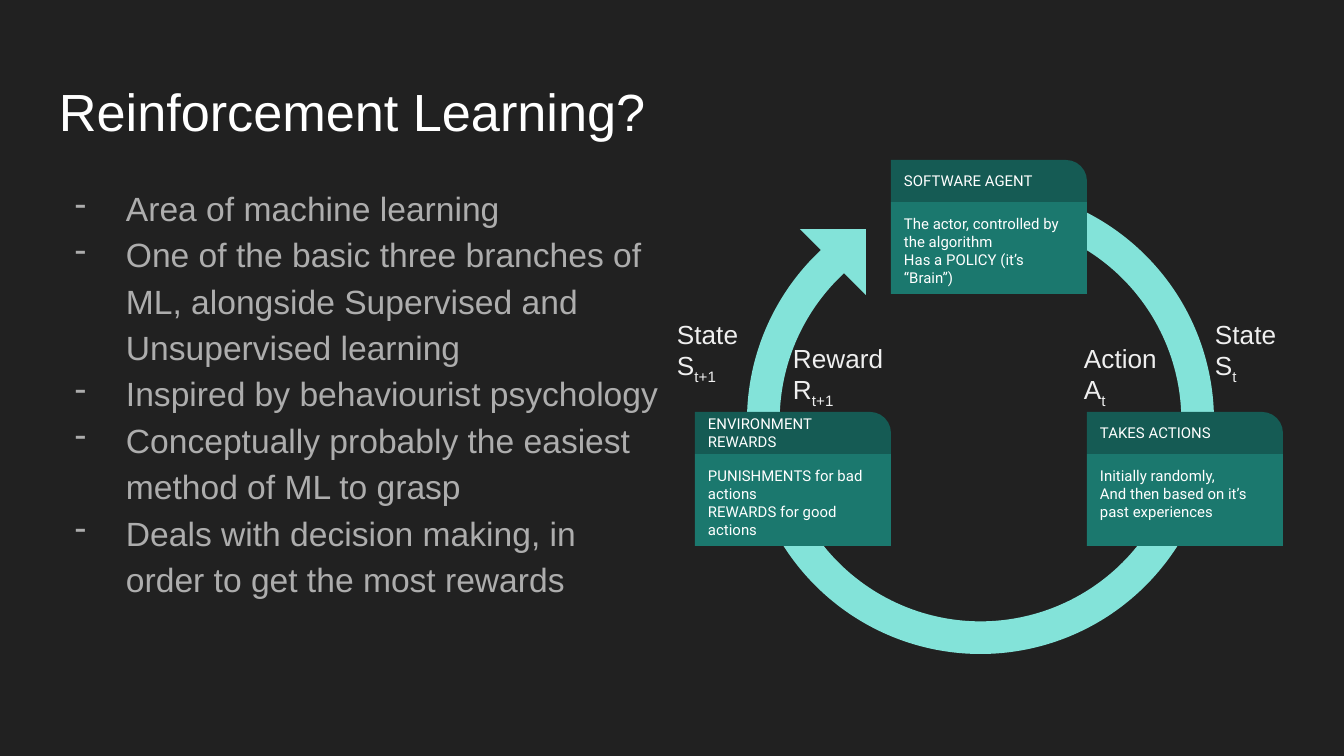
import pptx
import pptx.util
import pptx.dml.color
import pptx.enum.shapes
import pptx.enum.text
import pptx.oxml.ns
from lxml import etree

# Content: a paragraph is a list of (text, is subscript) runs
TITLE = "Reinforcement Learning?"
POINTS = [
    "Area of machine learning",
    "One of the basic three branches of ML, alongside Supervised and Unsupervised learning",
    "Inspired by behaviourist psychology",
    "Conceptually probably the easiest method of ML to grasp",
    "Deals with decision making, in order to get the most rewards",
]
# Column, top, heading, lines
CARDS = [
    (2, 412, "TAKES ACTIONS",
     ["Initially randomly,", "And then based on it’s past experiences"]),
    (1, 160, "SOFTWARE AGENT",
     ["The actor, controlled by the algorithm", "Has a POLICY (it’s “Brain”)"]),
    (0, 412, "ENVIRONMENT REWARDS",
     ["PUNISHMENTS for bad actions", "REWARDS for good actions"]),
]
# Left, top, width, paragraphs
LABELS = [
    (1071, 329, 125, [[("Action A", False), ("t", True)]]),
    (780, 329, 125, [[("Reward", False)], [("R", False), ("t+1", True)]]),
    (1202, 305, 106, [[("State", False)], [("S", False), ("t", True)]]),
    (664, 305, 125, [[("State", False)], [("S", False), ("t+1", True)]]),
]

# Theme
THEME = {
    "back": "212121", "ring": "83E3D9", "head": "155B54", "body": "1B786E",
    "title": ("Arial", 28, "FFFFFF"),
    "point": ("Arial", 18, "ADADAD"),
    "card": ("Roboto", 8, "FFFFFF"),
    "label": ("Arial", 14, "EFEFEF"),
}

# Layout in px
SCALE = 914400 / 134.4
WIDE, HIGH = 1344, 756
PAD = 13
CARD_X, CARD_W, HEAD_H, BODY_H = 695, 196, 42, 92
LABEL_H = 74
KIND = pptx.enum.shapes.MSO_SHAPE
ANCHOR = pptx.enum.text.MSO_ANCHOR


def px(n):
    return pptx.util.Emu(round(n * SCALE))


def rgb(code):
    return pptx.dml.color.RGBColor.from_string(code)


def write(shape, paras, style, anchor=ANCHOR.TOP):
    font, size, color = THEME[style]
    frame = shape.text_frame
    form = {"word_wrap": True, "vertical_anchor": anchor}
    for side in ("left", "right", "top", "bottom"):
        form["margin_" + side] = px(PAD)
    for key, val in form.items():
        setattr(frame, key, val)
    for i, runs in enumerate(paras):
        para = frame.paragraphs[0] if i == 0 else frame.add_paragraph()
        para.alignment = pptx.enum.text.PP_ALIGN.LEFT
        for text, sub in runs:
            run = para.add_run()
            run.text = text
            for key, val in {"name": font, "size": pptx.util.Pt(size)}.items():
                setattr(run.font, key, val)
            run.font.color.rgb = rgb(color)
            if sub:
                run.font._element.set("baseline", "-25000")
    return frame


def plain(lines):
    return [[(line, False)] for line in lines]


def add_text(slide, box, paras, style):
    shape = slide.shapes.add_textbox(*map(px, box))
    return write(shape, paras, style)


def add_block(slide, kind, box, color, turn=0, adjust=()):
    shape = slide.shapes.add_shape(kind, *map(px, box))
    shape.shadow.inherit = False
    shape.fill.solid()
    shape.fill.fore_color.rgb = rgb(THEME[color])
    shape.line.fill.background()
    shape.rotation = turn
    for i, val in enumerate(adjust):
        shape.adjustments[i] = val
    return shape


def add_dash(para, color):
    para.line_spacing = 1.15
    props = para._p.get_or_add_pPr()
    props.set("marL", str(px(67)))
    props.set("indent", str(px(-51)))
    qn = pptx.oxml.ns.qn
    tint = etree.SubElement(props, qn("a:buClr"))
    etree.SubElement(tint, qn("a:srgbClr")).set("val", color)
    etree.SubElement(props, qn("a:buChar")).set("char", "-")


def main():
    deck = pptx.Presentation()
    deck.slide_width, deck.slide_height = px(WIDE), px(HIGH)
    slide = deck.slides.add_slide(deck.slide_layouts[6])
    slide.background.fill.solid()
    slide.background.fill.fore_color.rgb = rgb(THEME["back"])

    # Title and points
    frame = add_text(slide, (46, 169, 626, 489), plain(POINTS), "point")
    for para in frame.paragraphs:
        add_dash(para, THEME["point"][2])
    add_text(slide, (46, 66, 1253, 85), plain([TITLE]), "title")

    # Cycle ring and its arrowhead
    add_block(slide, KIND.BLOCK_ARC, (747, 187, 467, 467), "ring", 180,
              (54, 30.13, 0.07))
    add_block(slide, KIND.RIGHT_TRIANGLE, (800, 229, 66, 66), "ring", 180)

    # Cards
    for col, top, head, lines in CARDS:
        left = CARD_X + col * CARD_W
        body = add_block(slide, KIND.RECTANGLE,
                         (left, top + HEAD_H, CARD_W, BODY_H), "body")
        write(body, plain(lines), "card")
        cap = add_block(slide, KIND.ROUND_1_RECTANGLE,
                        (left, top, CARD_W, HEAD_H), "head", 0, (0.5,))
        write(cap, plain([head]), "card", ANCHOR.MIDDLE)

    # Labels beside the ring
    for left, top, wide, paras in LABELS:
        add_text(slide, (left, top, wide, LABEL_H), paras, "label")

    deck.save("out.pptx")


if __name__ == "__main__":
    main()
